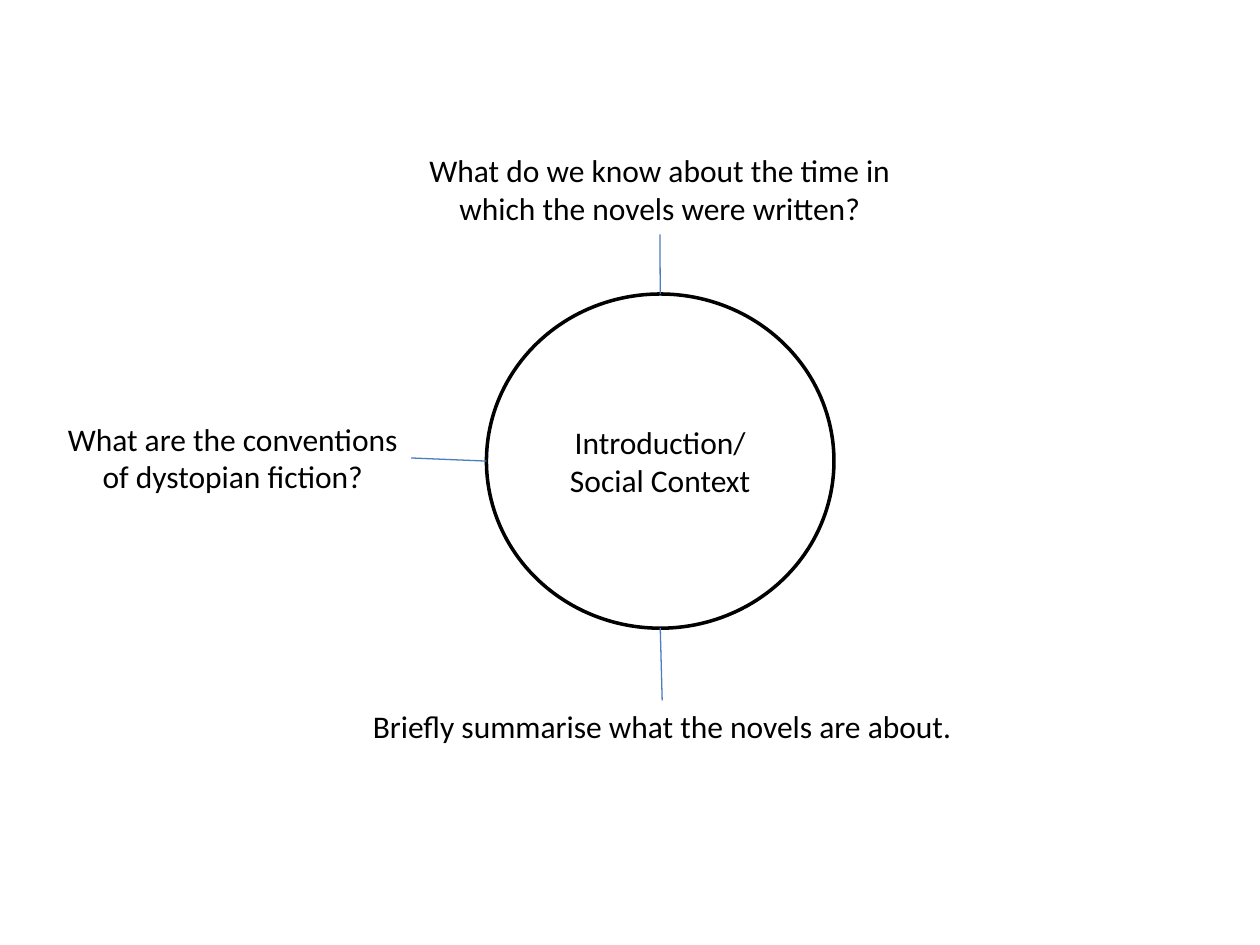
import dataclasses

import pptx
import pptx.dml.color
import pptx.enum.shapes
import pptx.enum.text
import pptx.oxml
import pptx.util

Pt = pptx.util.Pt
RGBColor = pptx.dml.color.RGBColor
TOP, LEFT, BOTTOM, RIGHT = range(4)  # connection sites of a rectangle


@dataclasses.dataclass(frozen=True)
class Theme:
    font: str = "Calibri"
    text_size: float = 18
    text_color: str = "000000"
    circle_fill: str = "FFFFFF"
    circle_line: str = "000000"
    circle_width: float = 2
    link_color: str = "4B7EBC"
    link_width: float = 0.75


class MindMap:
    """Holds the theme and the current slide."""

    def __init__(self, theme, slide):
        self.theme = theme
        self.slide = slide

    def set_text(self, shape, text, **frame_format):
        frame = shape.text_frame
        for name, value in frame_format.items():
            setattr(frame, name, value)
        paragraph = frame.paragraphs[0]
        paragraph.text = text
        paragraph.alignment = pptx.enum.text.PP_ALIGN.CENTER
        font = paragraph.runs[0].font
        font_format = {"name": self.theme.font, "size": Pt(self.theme.text_size)}
        for name, value in font_format.items():
            setattr(font, name, value)
        font.color.rgb = RGBColor.from_string(self.theme.text_color)

    def line_style(self, line, color, width):
        line.color.rgb = RGBColor.from_string(color)
        line.width = Pt(width)

    def circle(self, text, box):
        shape = self.slide.shapes.add_shape(
            pptx.enum.shapes.MSO_SHAPE.OVAL, *map(Pt, box))
        shape.shadow.inherit = False
        shape.fill.solid()
        shape.fill.fore_color.rgb = RGBColor.from_string(self.theme.circle_fill)
        self.line_style(shape.line, self.theme.circle_line, self.theme.circle_width)
        self.set_text(shape, text, word_wrap=True,
                      vertical_anchor=pptx.enum.text.MSO_ANCHOR.MIDDLE)

    def question(self, text, box, wrap=True):
        shape = self.slide.shapes.add_textbox(*map(Pt, box))
        self.set_text(shape, text, word_wrap=wrap,
                      auto_size=pptx.enum.text.MSO_AUTO_SIZE.SHAPE_TO_FIT_TEXT)
        return shape

    def link(self, question, site, circle_point):
        end = [Pt(value) for value in circle_point]
        connector = self.slide.shapes.add_connector(
            pptx.enum.shapes.MSO_CONNECTOR.STRAIGHT, *end, *end)
        connector.begin_connect(question, site)
        self.line_style(connector.line, self.theme.link_color, self.theme.link_width)
        connector._element.spPr.append(pptx.oxml.parse_xml(
            '<a:effectLst xmlns:a='
            '"http://schemas.openxmlformats.org/drawingml/2006/main"/>'))


def main():
    presentation = pptx.Presentation()
    presentation.slide_width, presentation.slide_height = Pt(720), Pt(540)
    slide = presentation.slides.add_slide(presentation.slide_layouts[6])
    mind_map = MindMap(Theme(), slide)

    # Central topic
    left, top, width, height = circle_box = (278, 168, 198.6, 191)
    mind_map.circle("Introduction/ Social Context", circle_box)
    center_x, center_y = left + width / 2, top + height / 2

    # Questions: text, box, wrap, linked side, point on the circle
    questions = [
        ("What do we know about the time in which the novels were written?",
         (215.3, 83, 323.6, 51), True, BOTTOM, (center_x, top)),
        ("What are the conventions of dystopian fiction?",
         (31, 236.2, 204, 51), True, RIGHT, (left, center_y)),
        ("Briefly summarise what the novels are about.",
         (203.8, 400.3, 349.2, 29), False, TOP, (center_x, top + height)),
    ]
    for text, box, wrap, site, circle_point in questions:
        question = mind_map.question(text, box, wrap)
        mind_map.link(question, site, circle_point)

    presentation.save("out.pptx")


if __name__ == "__main__":
    main()
